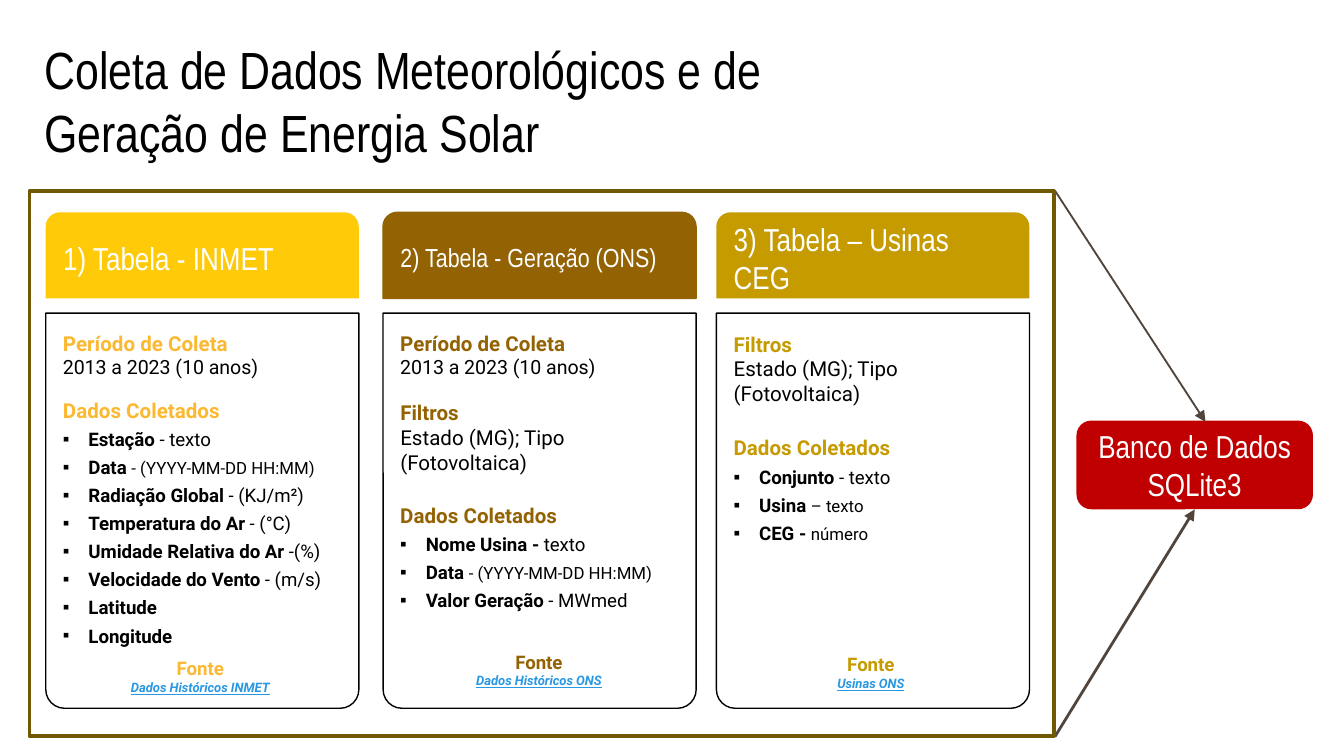
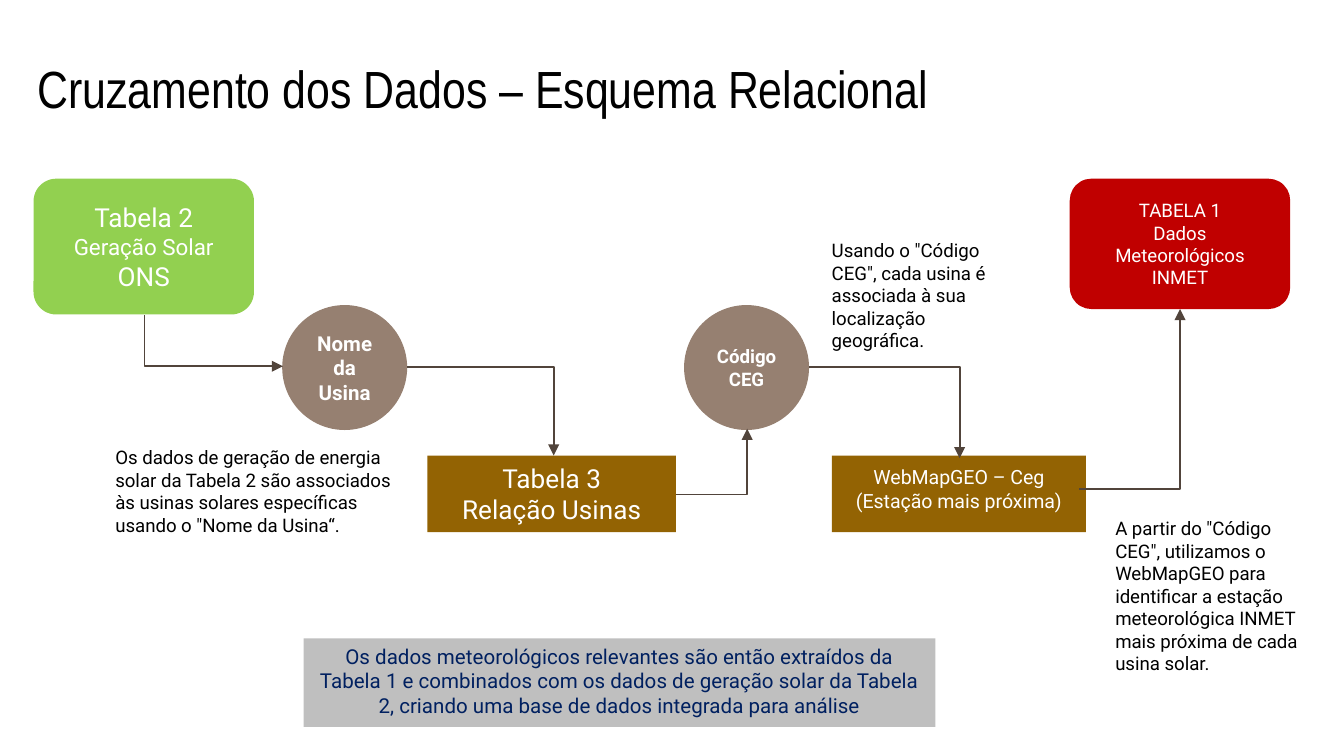
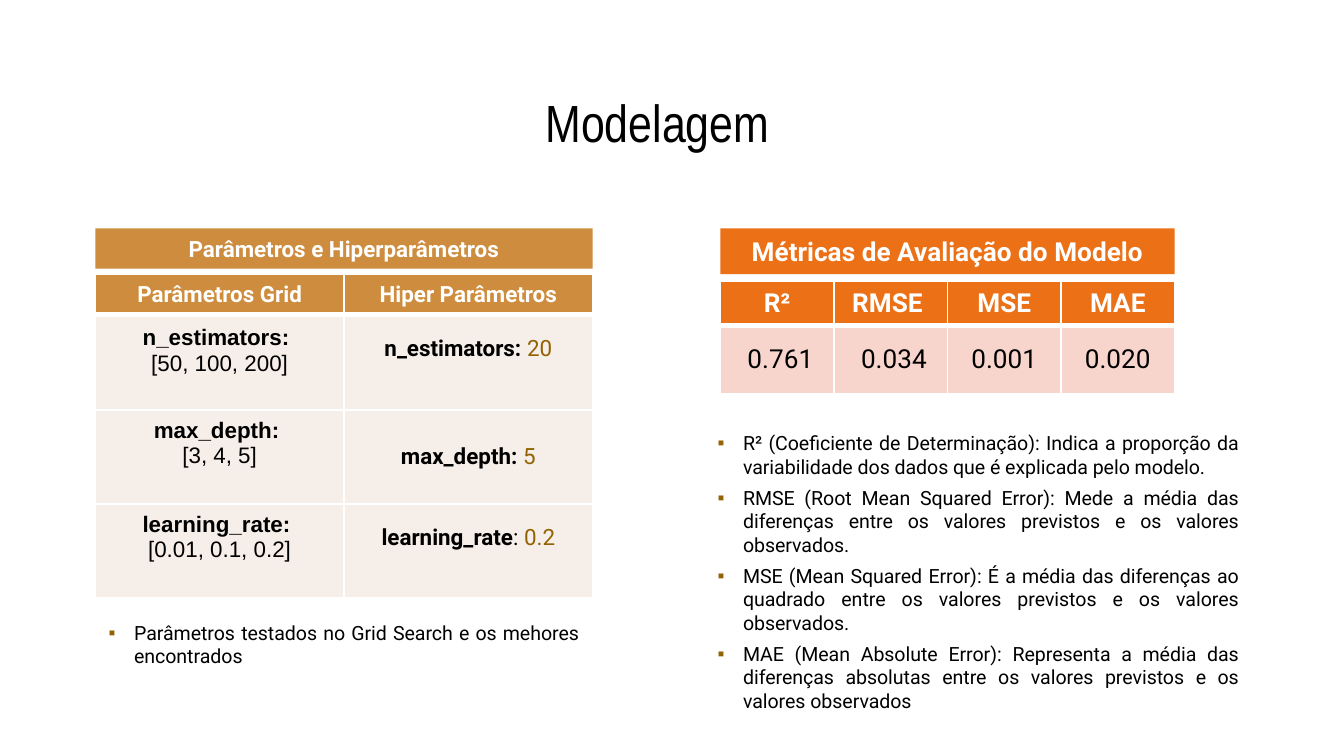
import pptx
import pptx.dml.color
import pptx.enum.shapes
import pptx.enum.text
import pptx.oxml
import pptx.oxml.ns
import pptx.util
from pptx.util import Inches

# Shared colours, fonts and names
WHITE, BLACK, BROWN, RED = "FFFFFF", "000000", "936303", "C00000"
ARROW, LINK = "51443B", "2998E3"
BODY, DISPLAY = "Roboto", "Arial Narrow"
rgb = pptx.dml.color.RGBColor.from_string
qn = pptx.oxml.ns.qn
XMLNS = pptx.oxml.ns.nsdecls("a")
PRESET = pptx.enum.shapes.MSO_SHAPE
CONNECTOR = pptx.enum.shapes.MSO_CONNECTOR
ALIGN = pptx.enum.text.PP_ALIGN
ANCHOR = pptx.enum.text.MSO_ANCHOR


def add_box(slide, box, preset=None, fill=None, line=None, width=0.75, inset=0.1, anchor=ANCHOR.TOP):
    """Add a preset shape, or a text box when no preset is given."""
    place = [Inches(value) for value in box]
    if preset is None:
        shape = slide.shapes.add_textbox(*place)
    else:
        shape = slide.shapes.add_shape(preset, *place)
        shape.shadow.inherit = False
        if fill:
            shape.fill.solid()
            shape.fill.fore_color.rgb = rgb(fill)
        else:
            shape.fill.background()
        if line:
            shape.line.color.rgb = rgb(line)
            shape.line.width = pptx.util.Pt(width)
        else:
            shape.line.fill.background()
    frame = shape.text_frame
    frame.word_wrap = True
    frame.vertical_anchor = anchor
    frame.margin_left = frame.margin_right = Inches(0.1)
    frame.margin_top = frame.margin_bottom = Inches(inset)
    return shape


def write(frame, paragraphs, align=ALIGN.LEFT, font=BODY, bullet=None, before=0, bullet_from=0):
    """Write paragraphs made of (text, size, colour, bold) runs."""
    for index, runs in enumerate(paragraphs):
        paragraph = frame.paragraphs[0] if index == 0 else frame.add_paragraph()
        paragraph.alignment = align
        if bullet and index >= bullet_from:
            paragraph.space_before = pptx.util.Pt(before)
            properties = paragraph._p.get_or_add_pPr()
            properties.set("marL", str(Inches(0.19)))
            properties.set("indent", str(-Inches(0.19)))
            for mark in (f'<a:buClr {XMLNS}><a:srgbClr val="{bullet}"/></a:buClr>',
                         f'<a:buFont {XMLNS} typeface="Arial"/>',
                         f'<a:buChar {XMLNS} char="▪"/>'):
                properties.append(pptx.oxml.parse_xml(mark))
        for text, size, colour, bold in runs:
            run = paragraph.add_run()
            run.text = text
            run.font.name = font
            run.font.size = pptx.util.Pt(size)
            run.font.bold = bold
            run.font.color.rgb = rgb(colour)


prs = pptx.Presentation()
prs.slide_width = Inches(10)
prs.slide_height = prs.slide_width * 9 // 16
arrows = []

# Slides and their titles
titles = [
    ("Coleta de Dados Meteorológicos e de Geração de Energia Solar", (0.23, 0.28, 6.17, 0.93), ALIGN.LEFT),
    ("Cruzamento dos Dados – Esquema Relacional", (0.18, 0.19, 8.02, 0.93), ALIGN.LEFT),
    ("Modelagem ", (0.71, 0.64, 8.45, 0.53), ALIGN.CENTER),
]
for text, box, align in titles:
    title = prs.slides.add_slide(prs.slide_layouts[5]).shapes.title
    title.left, title.top, title.width, title.height = [Inches(value) for value in box]
    frame = title.text_frame
    frame.auto_size = pptx.enum.text.MSO_AUTO_SIZE.NONE
    frame.vertical_anchor = ANCHOR.MIDDLE
    frame.margin_left = frame.margin_right = frame.margin_top = frame.margin_bottom = Inches(0.1)
    write(frame, [[(text, 28, BLACK, False)]], align, DISPLAY)
collection, schema, modelling = prs.slides

# Slide 1: one card per collected table
cards = [
    dict(left=0.34, name="1) Tabela - INMET", size=17, fill="FFCA08", outline=None, accent="FBB831",
         period=True, filter_top=None, data_top=2.86, data_height=2.01,
         fields=[("Estação", " - texto", 10), ("Data ", "- (YYYY-MM-DD HH:MM)", 9),
                 ("Radiação Global ", "- (KJ/m²)", 10), ("Temperatura do Ar ", "- (°C)", 10),
                 ("Umidade Relativa do Ar ", "-(%)", 10), ("Velocidade do Vento ", "- (m/s)", 10),
                 ("Latitude", "", 10), ("Longitude", "", 10)],
         source="Dados Históricos INMET", source_left=0.34, source_top=4.79),
    dict(left=2.85, name="2) Tabela - Geração (ONS)", size=14, fill=BROWN, outline=BROWN, accent=BROWN,
         period=True, filter_top=2.93, data_top=3.64, data_height=1.01,
         fields=[("Nome Usina - ", "texto", 10), ("Data ", "- (YYYY-MM-DD HH:MM)", 9),
                 ("Valor Geração ", "- MWmed", 10)],
         source="Dados Históricos ONS", source_left=2.86, source_top=4.74),
    dict(left=5.33, name="3) Tabela – Usinas CEG", size=17, fill="C59B00", outline=None, accent="C59B00",
         period=False, filter_top=2.42, data_top=3.14, data_height=1.05,
         fields=[("Conjunto", " - texto", 10), ("Usina ", "– texto", 9), ("CEG - ", "número", 9)],
         source="Usinas ONS", source_left=5.33, source_top=4.76),
]
for card in cards:
    left, accent = card["left"], card["accent"]
    body = add_box(collection, (left, 2.33, 2.33, 2.94), PRESET.ROUND_2_SAME_RECTANGLE, line=BLACK)
    body.rotation = 180
    body.adjustments[0] = 0.06
    header = add_box(collection, (left, 1.58, 2.33, 0.64), PRESET.ROUND_2_SAME_RECTANGLE,
                     card["fill"], card["outline"], anchor=ANCHOR.MIDDLE)
    write(header.text_frame, [[(card["name"], card["size"], WHITE, False)]], font=DISPLAY)

    if card["period"]:
        period = add_box(collection, (left + 0.03, 2.36, 2.3, 0.5))
        write(period.text_frame, [[("Período de Coleta", 11, accent, True)],
                                  [("2013 a 2023 (10 anos)", 10.5, BLACK, False)]])
    if card["filter_top"]:
        filters = add_box(collection, (left + 0.03, card["filter_top"], 2.28, 0.84), inset=0.05)
        write(filters.text_frame, [[("Filtros", 11, accent, True)],
                                   [("Estado (MG); Tipo (Fotovoltaica)", 11, BLACK, False)]])

    lines = [[("Dados Coletados", 11, accent, True)]]
    for field, detail, size in card["fields"]:
        lines.append([(field, 10, BLACK, True)] + ([(detail, size, BLACK, False)] if detail else []))
    data = add_box(collection, (left + 0.03, card["data_top"], 2.33, card["data_height"]))
    write(data.text_frame, lines, bullet=BLACK, before=3, bullet_from=1)

    source = add_box(collection, (card["source_left"], card["source_top"], 2.3, 0.5))
    write(source.text_frame, [[("Fonte", 10, accent, True)], [(card["source"], 7, LINK, True)]], ALIGN.CENTER)
    source_font = source.text_frame.paragraphs[1].runs[0].font
    source_font.italic = source_font.underline = True

# Slide 1: database fed by the framed cards
database = add_box(collection, (8.01, 3.13, 1.76, 0.66), PRESET.ROUNDED_RECTANGLE, RED, anchor=ANCHOR.MIDDLE)
write(database.text_frame, [[("Banco de Dados SQLite3", 17, WHITE, False)]], ALIGN.CENTER, DISPLAY)
for start_y, end_x, end_y, width in [(1.42, 8.97, 3.14, 1), (5.48, 8.89, 3.79, 1.5)]:
    arrow = collection.shapes.add_connector(
        CONNECTOR.STRAIGHT, Inches(7.85), Inches(start_y), Inches(end_x), Inches(end_y))
    arrows.append((arrow, width))
arrow.end_connect(database, 2)
add_box(collection, (0.22, 1.42, 7.62, 4.06), PRESET.RECTANGLE, line="705904", width=2)

# Slide 2: tables, keys and conclusion
nodes = [
    ((0.25, 1.33, 1.64, 1.01), PRESET.ROUNDED_RECTANGLE, "92D050", WHITE, False, ANCHOR.MIDDLE, 0.05,
     [("Tabela 2", 14), ("Geração Solar", 12), ("ONS", 14)]),
    ((2.1, 2.27, 0.93, 0.93), PRESET.OVAL, "968071", WHITE, True, ANCHOR.MIDDLE, 0.05,
     [("Nome da Usina", 11)]),
    ((5.09, 2.27, 0.93, 0.93), PRESET.OVAL, "968071", WHITE, True, ANCHOR.MIDDLE, 0.05,
     [("Código CEG", 10)]),
    ((3.18, 3.39, 1.85, 0.57), PRESET.RECTANGLE, BROWN, WHITE, False, ANCHOR.TOP, 0.05,
     [("Tabela 3", 14), ("Relação Usinas", 14)]),
    ((6.19, 3.39, 1.89, 0.57), PRESET.RECTANGLE, BROWN, WHITE, False, ANCHOR.TOP, 0.07,
     [("WebMapGEO – Ceg (Estação mais próxima)", 10.5)]),
    ((7.96, 1.33, 1.64, 0.97), PRESET.ROUNDED_RECTANGLE, RED, WHITE, False, ANCHOR.MIDDLE, 0.05,
     [("TABELA 1", 10), ("Dados Meteorológicos", 10), ("INMET", 10)]),
    ((2.26, 4.75, 4.7, 0.66), PRESET.RECTANGLE, "BFBFBF", "002060", False, ANCHOR.TOP, 0.04,
     [("Os dados meteorológicos relevantes são então extraídos da Tabela 1 e combinados com os dados de "
       "geração solar da Tabela 2, criando uma base de dados integrada para análise", 11)]),
]
for box, preset, fill, colour, bold, anchor, inset, lines in nodes:
    node = add_box(schema, box, preset, fill, inset=inset, anchor=anchor)
    write(node.text_frame, [[(text, size, colour, bold)] for text, size in lines], ALIGN.CENTER)

# Slide 2: one-bend arrows; the turned one leaves its table downwards
bends = [
    (3.03, 2.73, 4.12, 3.39, 0),
    (1.78, 2.02, 1.4, 3.05, 270),
    (5.03, 3.68, 5.56, 3.19, 0),
    (6.02, 2.73, 7.14, 3.41, 0),
    (8.03, 3.64, 8.78, 2.3, 0),
]
for *ends, turn in bends:
    arrow = schema.shapes.add_connector(CONNECTOR.ELBOW, *[Inches(value) for value in ends])
    properties = arrow._element.spPr
    properties.find(qn("a:prstGeom")).set("prst", "bentConnector2")
    if turn:
        properties.find(qn("a:xfrm")).set("rot", str(turn * 60000))
    arrows.append((arrow, 1))

# Slide 2: explanations beside the steps
explanations = [
    ((0.76, 3.27, 2.27, 0.77), "Os dados de geração de energia solar da Tabela 2 são associados às usinas "
                               "solares específicas usando o \"Nome da Usina“."),
    ((6.09, 1.73, 1.59, 0.94), "Usando o \"Código CEG\", cada usina é associada à sua localização geográfica."),
    ((8.2, 3.8, 1.63, 1.28), "A partir do \"Código CEG\", utilizamos o WebMapGEO para identificar a estação "
                             "meteorológica INMET mais próxima de cada usina solar."),
]
for box, text in explanations:
    explanation = add_box(schema, box, inset=0.05)
    write(explanation.text_frame, [[(text, 10, BLACK, False)]])

# Arrow style on both diagrams
for arrow, width in arrows:
    arrow.line.color.rgb = rgb(ARROW)
    arrow.line.width = pptx.util.Pt(width)
    arrow.line._get_or_add_ln().append(pptx.oxml.parse_xml(f'<a:tailEnd {XMLNS} type="triangle"/>'))
    arrow._element.spPr.append(pptx.oxml.parse_xml(f'<a:effectLst {XMLNS}/>'))

# Slide 3: content of the two tables, cell by cell as paragraphs of runs
parameters = [[[[(text, 12, WHITE, True)]] for text in ("Parâmetros Grid", "Hiper Parâmetros")]]
searches = [
    ([("n_estimators:", 12, BLACK, True), (" ", 14, BLACK, False)], "[50, 100, 200]",
     [("n_estimators: ", 12, BLACK, True)], "20"),
    ([("max_depth: ", 12, BLACK, True)], "[3, 4, 5]",
     [("max_depth: ", 12, BLACK, True)], "5"),
    ([("learning_rate: ", 12, BLACK, True)], "[0.01, 0.1, 0.2]",
     [("learning_rate", 12, BLACK, True), (": ", 12, BLACK, False)], "0.2"),
]
for tested_label, tested, best_label, best in searches:
    parameters.append([[tested_label, [(tested, 12, BLACK, False)]],
                       [best_label + [(best, 12, BROWN, False)]]])
metrics = [
    [[[(text, 14, WHITE, True)]] for text in ("R²", "RMSE ", "MSE", "MAE")],
    [[[(text, 14, BLACK, False)]] for text in (" 0.761", " 0.034", "0.001", "0.020")],
]
raised_cells = {(1, 0), (1, 1), (2, 0), (3, 0), (3, 1)}
tables = [
    ("Parâmetros e Hiperparâmetros", 12, (0.71, 1.7, 3.7, 0.3), 2.04, [0.3, 0.71, 0.7, 0.7],
     parameters, "CE8D3E", "F6EEE8", raised_cells, "Arial"),
    ("Métricas de Avaliação do Modelo", 14, (5.36, 1.7, 3.38, 0.34), 2.09, [0.33, 0.51],
     metrics, "EC7016", "F8D5CC", set(), BODY),
]
for caption, size, band, top, heights, rows, head_fill, body_fill, raised, first_font in tables:
    grid = modelling.shapes.add_table(len(rows), len(rows[0]), Inches(band[0]), Inches(top),
                                      Inches(band[2]), Inches(sum(heights))).table
    grid.horz_banding = False
    for r, row in enumerate(rows):
        grid.rows[r].height = Inches(heights[r])
        for c, paragraphs in enumerate(row):
            cell = grid.cell(r, c)
            cell.vertical_anchor = ANCHOR.MIDDLE
            cell.margin_top = Inches(0.05)
            cell.margin_bottom = Inches(0.25 if (r, c) in raised else 0.05)
            cell.fill.solid()
            cell.fill.fore_color.rgb = rgb(body_fill if r else head_fill)
            write(cell.text_frame, paragraphs, ALIGN.CENTER, first_font if r and c == 0 else BODY)
            for position, side in enumerate(("lnL", "lnR", "lnT", "lnB")):
                thick = (r == 0 and side == "lnB") or (r == 1 and side == "lnT")
                cell._tc.get_or_add_tcPr().insert(position, pptx.oxml.parse_xml(
                    f'<a:{side} {XMLNS} w="{pptx.util.Pt(3 if thick else 1)}">'
                    f'<a:solidFill><a:srgbClr val="{WHITE}"/></a:solidFill></a:{side}>'))
    caption_band = add_box(modelling, band, PRESET.RECTANGLE, head_fill, inset=0.05, anchor=ANCHOR.MIDDLE)
    write(caption_band.text_frame, [[(caption, size, WHITE, True)]], ALIGN.CENTER)

# Slide 3: bulleted notes under the tables
notes = [
    ((5.24, 3.16, 4.08, 2.21), [
        "R² (Coeficiente de Determinação): Indica a proporção da variabilidade dos dados que é explicada "
        "pelo modelo.",
        "RMSE (Root Mean Squared Error): Mede a média das diferenças entre os valores previstos e os valores "
        "observados.",
        "MSE (Mean Squared Error): É a média das diferenças ao quadrado entre os valores previstos e os "
        "valores observados.",
        "MAE (Mean Absolute Error): Representa a média das diferenças absolutas entre os valores previstos e "
        "os valores observados"]),
    ((0.71, 4.57, 3.7, 0.45), ["Parâmetros testados no Grid Search e os mehores encontrados"]),
]
for box, items in notes:
    note = add_box(modelling, box, inset=0.05)
    write(note.text_frame, [[(item, 10.5, BLACK, False)] for item in items], ALIGN.JUSTIFY,
          bullet=BROWN, before=4)

prs.save("out.pptx")
